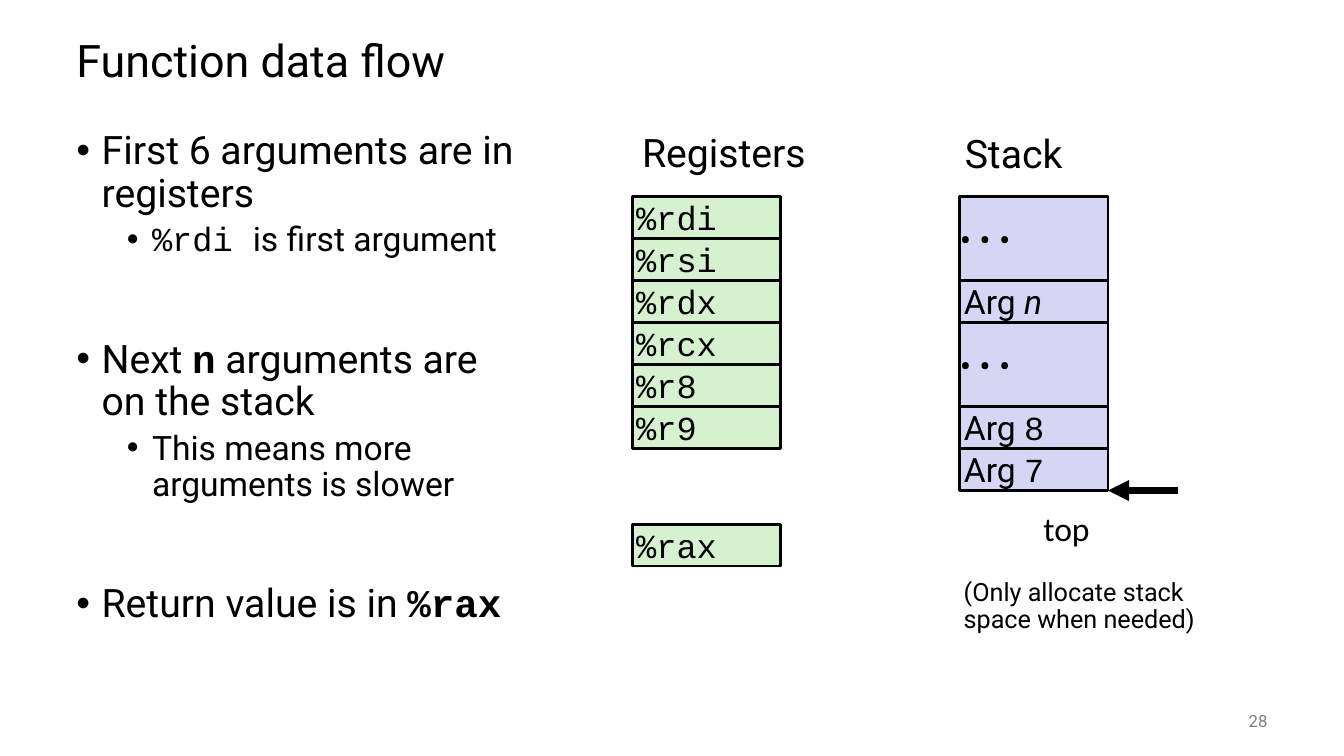
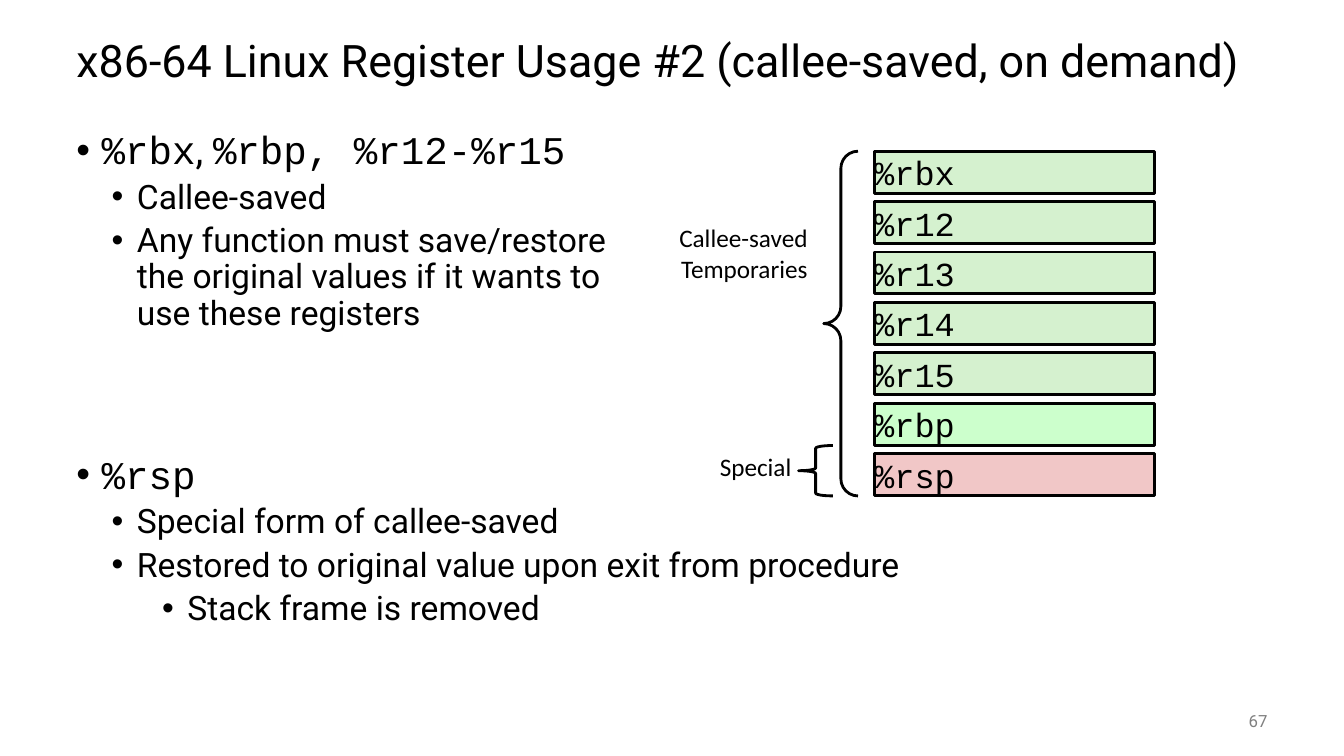
from itertools import accumulate

from lxml.etree import SubElement
from pptx import Presentation
from pptx.dml.color import RGBColor
from pptx.enum.shapes import MSO_CONNECTOR as CONN, MSO_SHAPE as SHAPE
from pptx.enum.text import MSO_ANCHOR as ANCHOR, PP_ALIGN as ALIGN
from pptx.oxml.ns import qn
from pptx.util import Inches, Pt

BLACK, GRAY = "000000", "808080"
GREEN, MINT, LILAC, PINK = "D5F1CF", "CCFFCC", "D6D6F4", "F1C7C7"
SANS, MONO, LABEL = "Roboto", "Courier New", "Calibri"
ROW = 5 / 12
DOTS = "• • •"


def rgb(value):
    """Turn a hex string into a colour."""
    return RGBColor.from_string(value)


def mono(text, **fmt):
    """Return a run in the code font."""
    return text, dict(font=MONO, **fmt)


def write(p, runs, size=24, font=SANS, color=BLACK, bold=False, italic=False,
          align=ALIGN.LEFT, spacing=1.0, before=0):
    """Fill a paragraph with a string or with strings and (text, format) runs."""
    p.alignment, p.line_spacing, p.space_before = align, spacing, Pt(before)
    base = dict(font=font, bold=bold, italic=italic)
    for run in [runs] if isinstance(runs, str) else runs:
        text, own = (run, {}) if isinstance(run, str) else run
        fmt = {**base, **own}
        for i, line in enumerate(text.split("\n")):
            if i:
                p.add_line_break()
            r = p.add_run()
            r.text = line
            r.font.size, r.font.name = Pt(size), fmt["font"]
            r.font.bold, r.font.italic = fmt["bold"], fmt["italic"]
            r.font.color.rgb = rgb(color)


def set_frame(tf, anchor, inset, wrap=True):
    """Set the anchor, wrapping and, if given, all four insets."""
    tf.vertical_anchor, tf.word_wrap = anchor, wrap
    if inset is not None:
        tf.margin_left = tf.margin_right = Inches(inset)
        tf.margin_top = tf.margin_bottom = Inches(inset)


def add_text(s, box, *lines, anchor=ANCHOR.TOP, inset=None, wrap=True, **fmt):
    """Add a text box with one paragraph per line."""
    tf = s.shapes.add_textbox(*map(Inches, box)).text_frame
    set_frame(tf, anchor, inset, wrap)
    for i, line in enumerate(lines):
        write(tf.add_paragraph() if i else tf.paragraphs[0], line, **fmt)


def add_bullets(s, box, items, indents):
    """Add bulleted paragraphs from (level, runs, space before) items."""
    tf = s.shapes.add_textbox(*map(Inches, box)).text_frame
    set_frame(tf, ANCHOR.TOP, None)
    for i, (level, runs, before) in enumerate(items):
        p = tf.add_paragraph() if i else tf.paragraphs[0]
        p.level = level
        pPr = p._p.get_or_add_pPr()
        pPr.set("marL", str(Inches(indents[level])))
        pPr.set("indent", str(Inches(-0.25)))
        SubElement(pPr, qn("a:buFont")).set("typeface", "Arial")
        SubElement(pPr, qn("a:buChar")).set("char", "•")
        write(p, runs, size=24 if level else 28, spacing=0.9, before=before)


def outline(sp):
    """Give a shape a plain black outline without shadow."""
    sp.shadow.inherit = False
    sp.line.color.rgb, sp.line.width = rgb(BLACK), Pt(2)


def add_cell(shapes, box, runs, fill, inset=0.04, **fmt):
    """Add an outlined rectangle with left-aligned text."""
    sp = shapes.add_shape(SHAPE.RECTANGLE, *map(Inches, box))
    outline(sp)
    sp.fill.solid()
    sp.fill.fore_color.rgb = rgb(fill)
    set_frame(sp.text_frame, ANCHOR.MIDDLE, inset)
    write(sp.text_frame.paragraphs[0], runs, **fmt)


def add_brace(s, box, curve):
    """Add a left brace whose corners have the given relative height."""
    sp = s.shapes.add_shape(SHAPE.LEFT_BRACE, *map(Inches, box))
    outline(sp)
    sp.fill.background()
    sp.adjustments[0] = curve


def add_arrow(s, x1, y1, x2, y2):
    """Add a thick straight arrow."""
    c = s.shapes.add_connector(CONN.STRAIGHT, *map(Inches, (x1, y1, x2, y2)))
    c.line.color.rgb, c.line.width = rgb(BLACK), Pt(5)
    SubElement(c.line._get_or_add_ln(), qn("a:tailEnd")).set("type", "triangle")
    SubElement(c._element.spPr, qn("a:effectLst"))


def add_slide(prs, title, number):
    """Add a blank slide with its title and number."""
    s = prs.slides.add_slide(prs.slide_layouts[6])
    add_text(s, (0.66, 0.25, 12, 0.75), title, size=32, spacing=0.9,
             anchor=ANCHOR.MIDDLE)
    add_text(s, (11.67, 6.95, 1, 0.4), str(number), size=12, color=GRAY,
             align=ALIGN.RIGHT, anchor=ANCHOR.MIDDLE)
    return s


def data_flow(prs):
    """Build the slide on arguments in registers and on the stack."""
    s = add_slide(prs, "Function data flow", 28)
    add_bullets(s, (0.66, 1.25, 4.57, 5.5), [
        (0, "First 6 arguments are in registers", 0),
        (1, [mono("%rdi "), "is first argument"], 5),
        (0, ["Next ", mono("n", bold=True), " arguments are on the stack"], 57.5),
        (1, "This means more arguments is slower", 5),
        (0, ["Return value is in ", mono("%rax", bold=True)], 57.5),
    ], (0.25, 0.75))

    add_text(s, (6.27, 1.28, 2.5, 0.7), "Registers", size=28, spacing=0.9)
    add_text(s, (9.47, 1.29, 1.75, 0.7), "Stack", size=28, spacing=0.9)
    add_text(s, (9.46, 5.7, 2.56, 0.83),
             "(Only allocate stack space when needed)", size=18, spacing=0.9)

    top, width = 1.95, 1.47
    registers = ["%rdi", "%rsi", "%rdx", "%rcx", "%r8", "%r9"]
    tops = [top + i * ROW for i in range(len(registers))] + [5.2]
    for name, y in zip(registers + ["%rax"], tops):
        add_cell(s.shapes, (6.27, y, width, ROW), name, GREEN, font=MONO)

    stack = [(DOTS, 2), (["Arg ", ("n", dict(italic=True))], 1), (DOTS, 2),
             (["Arg ", mono("8")], 1), (["Arg ", mono("7")], 1)]
    starts = list(accumulate((rows for _, rows in stack), initial=0))
    group = s.shapes.add_group_shape()
    for (runs, rows), start in zip(stack, starts):
        add_cell(group.shapes, (9.52, top + start * ROW, width, rows * ROW),
                 runs, LILAC, inset=0 if runs == DOTS else 0.04)

    bottom = top + starts[-1] * ROW
    add_text(s, (10.25, 4.99, 0.66, 0.5), "top", font=LABEL, wrap=False)
    add_arrow(s, 11.68, bottom, 9.52 + width, bottom)


def register_usage(prs):
    """Build the slide on callee-saved registers."""
    s = add_slide(
        prs, "x86-64 Linux Register Usage #2 (callee-saved, on demand)", 67)
    add_bullets(s, (0.66, 1.25, 12, 5.5), [
        (0, [mono("%rbx"), ", ", mono("%rbp, %r12-%r15")], 0),
        (1, "Callee-saved", 5),
        (1, "Any function must save/restore\nthe original values if it wants to"
            "\nuse these registers", 5),
        (0, [mono("%rsp")], 88),
        (1, "Special form of callee-saved", 5),
        (1, "Restored to original value upon exit from procedure", 5),
        (2, "Stack frame is removed", 5),
    ], (0.25, 0.6, 1.1))

    fills = {"%rbx": GREEN, "%r12": GREEN, "%r13": GREEN, "%r14": GREEN,
             "%r15": GREEN, "%rbp": MINT, "%rsp": PINK}
    for i, (name, fill) in enumerate(fills.items()):
        add_cell(s.shapes, (8.67, 1.5 + i * 0.5, 2.78, ROW), name, fill,
                 inset=0, font=MONO)

    add_brace(s, (8.17, 1.5, 0.34, 3.42), 0.5)
    add_brace(s, (7.92, 4.42, 0.34, 0.5), 0.08)
    label = dict(size=18, font=LABEL, align=ALIGN.RIGHT, inset=0.04, wrap=False)
    add_text(s, (6.67, 2.17, 1.38, 0.69), "Callee-saved", "Temporaries", **label)
    add_text(s, (7.06, 4.44, 0.83, 0.39), "Special", **label)


def main():
    """Build and save the presentation."""
    prs = Presentation()
    prs.slide_width, prs.slide_height = Inches(13.33), Inches(7.5)
    data_flow(prs)
    register_usage(prs)
    prs.save("out.pptx")


if __name__ == "__main__":
    main()
